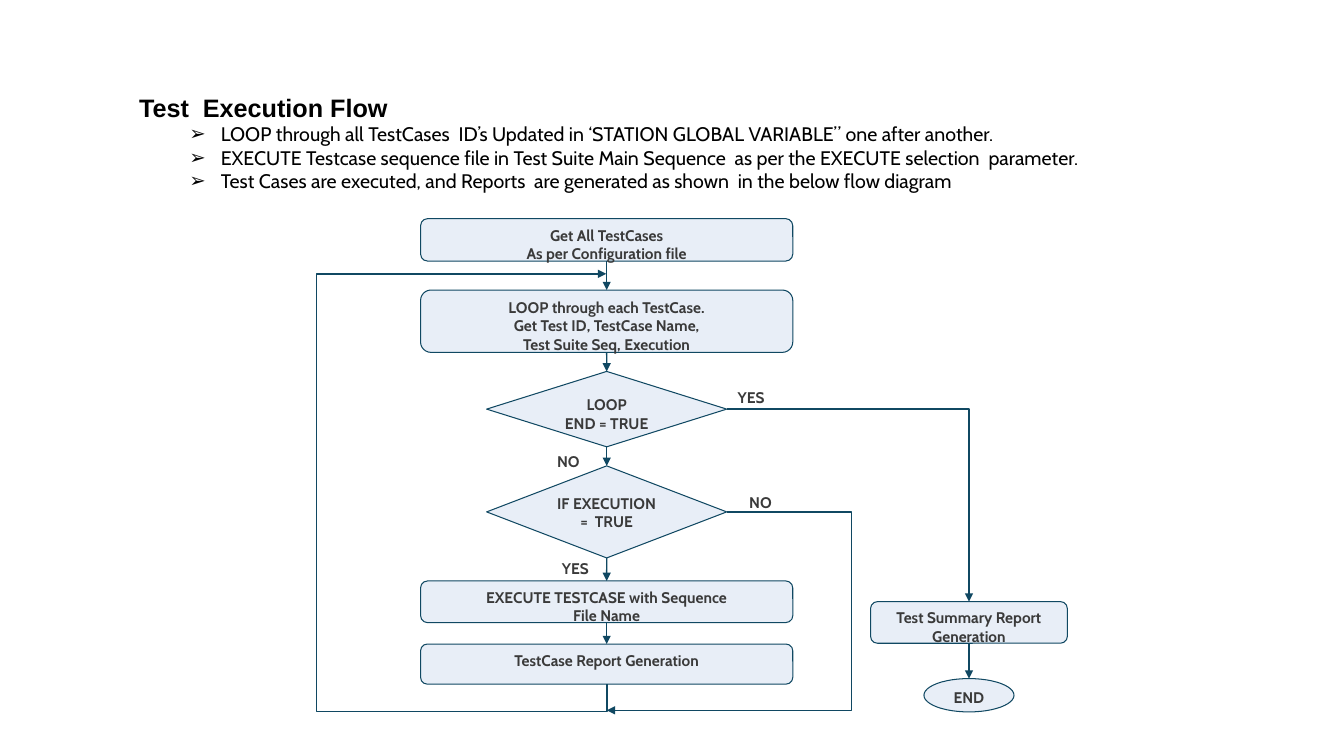
from lxml.etree import SubElement
from pptx import Presentation
from pptx.dml.color import RGBColor
from pptx.enum.shapes import MSO_CONNECTOR, MSO_SHAPE
from pptx.enum.text import MSO_ANCHOR, MSO_AUTO_SIZE, PP_ALIGN
from pptx.oxml.ns import qn
from pptx.util import Cm, Pt

BLACK = RGBColor(0x00, 0x00, 0x00)
INK = RGBColor(0x3A, 0x3A, 0x3A)
NAVY = RGBColor(0x10, 0x48, 0x62)
PALE = RGBColor(0xE8, 0xEE, 0xF7)

TITLE = "Test  Execution Flow"
BULLETS = [
    "LOOP through all TestCases  ID’s Updated in ‘STATION GLOBAL VARIABLE” one after another.",
    "EXECUTE Testcase sequence file in Test Suite Main Sequence  as per the EXECUTE selection  parameter.",
    "Test Cases are executed, and Reports  are generated as shown  in the below flow diagram",
]

MAIN, SIDE = 15.29, 24.42
BOX, DIAMOND, OVAL = MSO_SHAPE.ROUNDED_RECTANGLE, MSO_SHAPE.DIAMOND, MSO_SHAPE.OVAL
STEPS = {
    "start": (BOX, MAIN, 5.51, 9.38, 1.07, "Get All TestCases\nAs per Configuration file"),
    "loop": (BOX, MAIN, 7.31, 9.38, 1.57,
             "LOOP through each TestCase.\nGet Test ID, TestCase Name,\nTest Suite Seq, Execution"),
    "loop end": (DIAMOND, MAIN, 9.36, 6.05, 1.9, "LOOP\nEND = TRUE"),
    "check": (DIAMOND, MAIN, 11.74, 6.05, 2.32, "IF EXECUTION =  TRUE"),
    "execute": (BOX, MAIN, 14.64, 9.38, 1.05, "EXECUTE TESTCASE with Sequence\nFile Name"),
    "report": (BOX, MAIN, 16.23, 9.38, 1.01, "TestCase Report Generation"),
    "summary": (BOX, SIDE, 15.16, 4.96, 1.05, "Test Summary Report Generation"),
    "end": (OVAL, SIDE, 17.1, 2.27, 0.84, "END"),
}
ARROWS = [
    ("start", "loop"), ("loop", "loop end"), ("loop end", "check"),
    ("check", "execute"), ("execute", "report"), ("summary", "end"),
]
LABELS = [
    ("YES", 18.31, 9.66, 1.24), ("NO", 18.58, 12.29, 1.17),
    ("NO", 13.74, 11.28, 1.17), ("YES", 13.88, 13.97, 1.24),
]
TOP, LEFT, BOTTOM, RIGHT = range(4)
RETURN_TOP, RETURN_LEFT, RETURN_BOTTOM = 6.9, 7.97, 17.93
SKIP_RIGHT, SKIP_BOTTOM = 21.46, 17.9


def write_label(frame, text):
    frame.text = text
    for para in frame.paragraphs:
        para.alignment = PP_ALIGN.CENTER
        para.font.name = "Cabin"
        para.font.size = Pt(11)
        para.font.bold = True
        para.font.color.rgb = INK


def add_arrow(page, begin, end, preset="line", adjustments=()):
    kind = MSO_CONNECTOR.STRAIGHT if preset == "line" else MSO_CONNECTOR.ELBOW
    arrow = page.shapes.add_connector(kind, *(Cm(value) for value in (*begin, *end)))
    arrow.line.color.rgb = NAVY
    arrow.line.width = Pt(1)
    properties = arrow.element.spPr
    SubElement(properties.find(qn("a:ln")), qn("a:tailEnd"), type="triangle")
    SubElement(properties, qn("a:effectLst"))
    geometry = properties.find(qn("a:prstGeom"))
    geometry.set("prst", preset)
    guides = geometry.find(qn("a:avLst"))
    for number, ratio in enumerate(adjustments, 1):
        SubElement(guides, qn("a:gd"), name=f"adj{number}", fmla=f"val {round(ratio * 100000)}")
    return arrow


def place_text(box, left, top, width, height):
    box.left, box.top, box.width, box.height = Cm(left), Cm(top), Cm(width), Cm(height)
    frame = box.text_frame
    frame.word_wrap = True
    frame.auto_size = MSO_AUTO_SIZE.NONE
    frame.vertical_anchor = MSO_ANCHOR.TOP
    return frame


def add_heading(page):
    frame = place_text(page.shapes.title, 3.25, 2.2, 25.63, 0.9)
    frame.text = TITLE
    para = frame.paragraphs[0]
    para.alignment = PP_ALIGN.LEFT
    para.font.name = "Arial"
    para.font.size = Pt(18)
    para.font.bold = True
    para.font.color.rgb = BLACK

    frame = place_text(page.placeholders[1], 3.25, 2.95, 25.63, 2.1)
    frame.text = "\n".join(BULLETS)
    for para in frame.paragraphs:
        para.level = 1
        para.space_before = Pt(0)
        properties = para._p.get_or_add_pPr()
        properties.set("marL", str(Cm(2.06)))
        properties.set("indent", str(Cm(-0.79)))
        SubElement(properties, qn("a:buFont"), typeface="Arial")
        SubElement(properties, qn("a:buChar"), char="➢")
        para.font.name = "Cabin"
        para.font.size = Pt(14)
        para.font.color.rgb = BLACK


def add_steps(page):
    steps = {}
    for name, (kind, center, top, width, height, text) in STEPS.items():
        step = page.shapes.add_shape(kind, Cm(center - width / 2), Cm(top), Cm(width), Cm(height))
        step.shadow.inherit = False
        step.fill.solid()
        step.fill.fore_color.rgb = PALE
        step.line.color.rgb = NAVY
        step.line.width = Pt(0.75)
        step.text_frame.word_wrap = True
        step.text_frame.vertical_anchor = MSO_ANCHOR.TOP
        write_label(step.text_frame, text)
        steps[name] = step
    return steps


def add_flow(page, steps):
    for source, target in ARROWS:
        arrow = add_arrow(page, (0, 0), (1, 1))
        arrow.begin_connect(steps[source], BOTTOM)
        arrow.end_connect(steps[target], TOP)

    finish = add_arrow(page, (0, 0), (1, 1), "bentConnector2")
    finish.begin_connect(steps["loop end"], RIGHT)
    finish.end_connect(steps["summary"], TOP)

    _, center, top, width, height, _ = STEPS["check"]
    right, middle = center + width / 2, top + height / 2
    add_arrow(page, (right, middle), (MAIN, SKIP_BOTTOM), "bentConnector4",
              ((right - SKIP_RIGHT) / (right - MAIN), 1))

    _, _, top, _, height, _ = STEPS["report"]
    bottom = top + height
    length, thickness = bottom - RETURN_TOP, 0.02
    middle = (bottom + RETURN_TOP) / 2
    back = add_arrow(
        page,
        (MAIN + length / 2, middle - thickness / 2),
        (MAIN - length / 2, middle + thickness / 2),
        "bentConnector5",
        ((bottom - RETURN_BOTTOM) / length, (MAIN - RETURN_LEFT) / thickness, 1),
    )
    back.element.spPr.find(qn("a:xfrm")).set("rot", "5400000")


def add_labels(page):
    for text, left, top, width in LABELS:
        box = page.shapes.add_textbox(Cm(left), Cm(top), Cm(width), Cm(0.69))
        box.text_frame.word_wrap = False
        write_label(box.text_frame, text)


def main():
    deck = Presentation()
    deck.slide_width, deck.slide_height = Cm(33.87), Cm(19.05)
    page = deck.slides.add_slide(deck.slide_layouts[1])
    add_heading(page)
    steps = add_steps(page)
    add_flow(page, steps)
    add_labels(page)
    deck.save("out.pptx")


if __name__ == "__main__":
    main()
